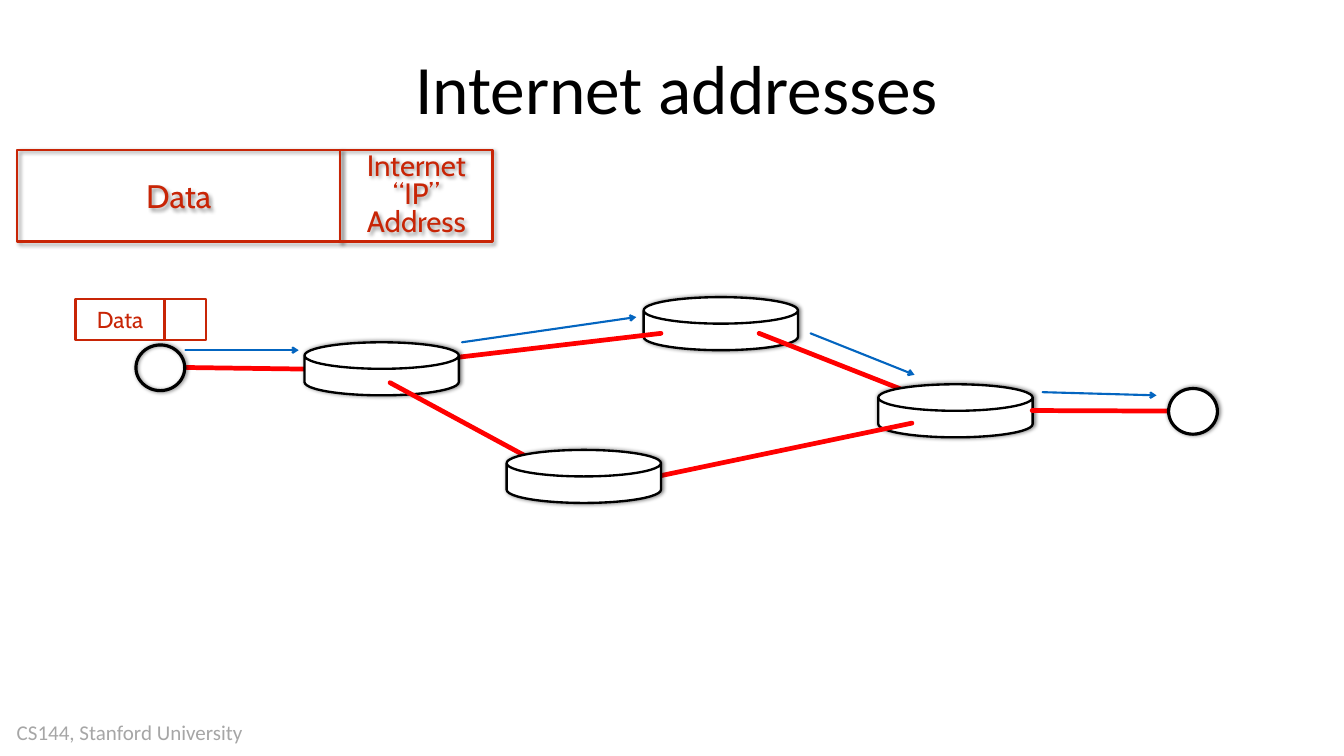
from lxml.etree import SubElement
from pptx import Presentation
from pptx.dml.color import RGBColor
from pptx.enum.shapes import MSO_CONNECTOR, MSO_SHAPE
from pptx.enum.text import MSO_ANCHOR, MSO_AUTO_SIZE, PP_ALIGN
from pptx.oxml.ns import qn
from pptx.util import Pt

RED, BRIGHT_RED, BLUE = "C82506", "FF0000", "0365C0"
BLACK, WHITE, GREY = "000000", "FFFFFF", "A6A6A6"
FIELD_SHADOW = (40, 4, 3, 45)
NODE_SHADOW = (50, 4, 1, 0)
ROUTER_SIZE = (147, 50.5)
HOST_SIZE = (46.5, 43.5)


def colour(value):
    """Turn a hex string into a colour."""
    return RGBColor.from_string(value)


def add_shadow(shape, opacity, blur, distance, angle):
    """Give a shape a soft black outer shadow."""
    effects = shape._element.spPr.find(qn("a:effectLst"))
    shadow = SubElement(effects, qn("a:outerShdw"), blurRad=str(Pt(blur)),
                        dist=str(Pt(distance)), dir=str(angle * 60000),
                        rotWithShape="0")
    black = SubElement(shadow, qn("a:srgbClr"), val=BLACK)
    SubElement(black, qn("a:alpha"), val=str(opacity * 1000))


def add_outline(page, kind, box, line, width, fill=None, shadow=None):
    """Draw a preset shape in the given box."""
    shape = page.shapes.add_shape(kind, *map(Pt, box))
    shape.shadow.inherit = False
    if fill:
        shape.fill.solid()
        shape.fill.fore_color.rgb = colour(fill)
    else:
        shape.fill.background()
    shape.line.color.rgb = colour(line)
    shape.line.width = Pt(width)
    if shadow:
        add_shadow(shape, *shadow)
    return shape


def write(frame, lines, font, size, ink, spacing=None):
    """Write centred paragraphs into a text frame."""
    frame.vertical_anchor = MSO_ANCHOR.MIDDLE
    frame.text = "\n".join(lines)
    for para in frame.paragraphs:
        para.alignment = PP_ALIGN.CENTER
        para.font.name = font
        para.font.size = Pt(size)
        para.font.color.rgb = colour(ink)
        if spacing:
            para.line_spacing = spacing


def set_margins(frame, margin):
    """Set all four margins of a text frame."""
    frame.margin_left = frame.margin_right = Pt(margin)
    frame.margin_top = frame.margin_bottom = Pt(margin)


def add_line(page, ends, ink, width, arrow=False):
    """Draw a round-capped line, with an arrowhead if asked."""
    line = page.shapes.add_connector(MSO_CONNECTOR.STRAIGHT, *map(Pt, ends))
    line.line.color.rgb = colour(ink)
    line.line.width = Pt(width)
    outline = line.line._get_or_add_ln()
    outline.set("cap", "rnd")
    SubElement(outline, qn("a:round"))
    if arrow:
        SubElement(outline, qn("a:tailEnd"), type="arrow")
    SubElement(line._element.spPr, qn("a:effectLst"))


def add_title(page, box, text):
    """Place the slide title in its placeholder."""
    title = page.shapes.title
    title.left, title.top, title.width, title.height = map(Pt, box)
    set_margins(title.text_frame, 4.5)
    write(title.text_frame, [text], "Calibri", 66, BLACK)


def add_footer(page, box, text):
    """Place the course name at the foot of the slide."""
    frame = page.shapes.add_textbox(*map(Pt, box)).text_frame
    frame.word_wrap = False
    frame.auto_size = MSO_AUTO_SIZE.SHAPE_TO_FIT_TEXT
    set_margins(frame, 4.5)
    write(frame, [text], "Calibri", 20, GREY)


def add_packet(page, box, data_width, data_size, address=(), fill=None, shadow=None):
    """Draw a packet split into a data field and an address field."""
    left, top, width, height = box
    data_box = (left, top, data_width, height)
    address_box = (left + data_width, top, width - data_width, height)
    data, header = [add_outline(page, MSO_SHAPE.RECTANGLE, field, RED, 2.25, fill, shadow)
                    for field in (data_box, address_box)]
    write(data.text_frame, ["Data"], "Cabin", data_size, RED)
    if address:
        write(header.text_frame, address, "Cabin", 28, RED, 0.8)


def add_network(page, box):
    """Draw routers, links and hosts, stacked from back to front."""
    left, top = box[:2]

    def router(x, y):
        can = add_outline(page, MSO_SHAPE.CAN, (left + x, top + y, *ROUTER_SIZE),
                          BLACK, 2.25, WHITE, NODE_SHADOW)
        can.adjustments[0] = 0.5

    def host(x, y, fill=None):
        add_outline(page, MSO_SHAPE.OVAL, (left + x, top + y, *HOST_SIZE),
                    BLACK, 3, fill, NODE_SHADOW)

    def link(x1, y1, x2, y2):
        add_line(page, (left + x1, top + y1, left + x2, top + y2), BRIGHT_RED, 4.5)

    router(483.5, 0)
    link(47, 67, 160.5, 68.5)
    link(275, 61, 500, 34.5)
    router(160.5, 43)
    link(242, 81.5, 405.5, 170)
    link(593.5, 34.5, 780.5, 108)
    router(707, 83)
    link(500, 170, 739, 120)
    router(353, 145.5)
    link(983.5, 108.5, 853.5, 108)
    host(983.5, 87, WHITE)
    host(0, 45.5)


def add_route(page, box):
    """Draw the arrows that follow the packet from hop to hop."""
    left, top = box[:2]
    hops = [(0, 31.5, 108, 31.5), (263.5, 24, 429.5, 0),
            (595.5, 15.5, 694.5, 55), (816.5, 71.5, 925, 74.5)]
    for x1, y1, x2, y2 in hops:
        add_line(page, (left + x1, top + y1, left + x2, top + y2), BLUE, 2, True)


def main():
    """Build and save the deck."""
    deck = Presentation()
    deck.slide_width, deck.slide_height = Pt(1280), Pt(720)
    page = deck.slides.add_slide(deck.slide_layouts[5])
    add_footer(page, (10, 681, 227, 32.5), "CS144, Stanford University")
    add_title(page, (72, 19, 1145, 128), "Internet addresses")
    add_packet(page, (16.5, 143, 452.5, 87), 307.5, 31,
               ["Internet “IP”", "Address"], shadow=FIELD_SHADOW)
    add_route(page, (176.5, 302, 925, 74.5))
    add_network(page, (129.5, 283, 1030, 196))
    add_packet(page, (72, 285, 124, 39), 84.5, 22, fill=WHITE)
    deck.save("out.pptx")


if __name__ == "__main__":
    main()
